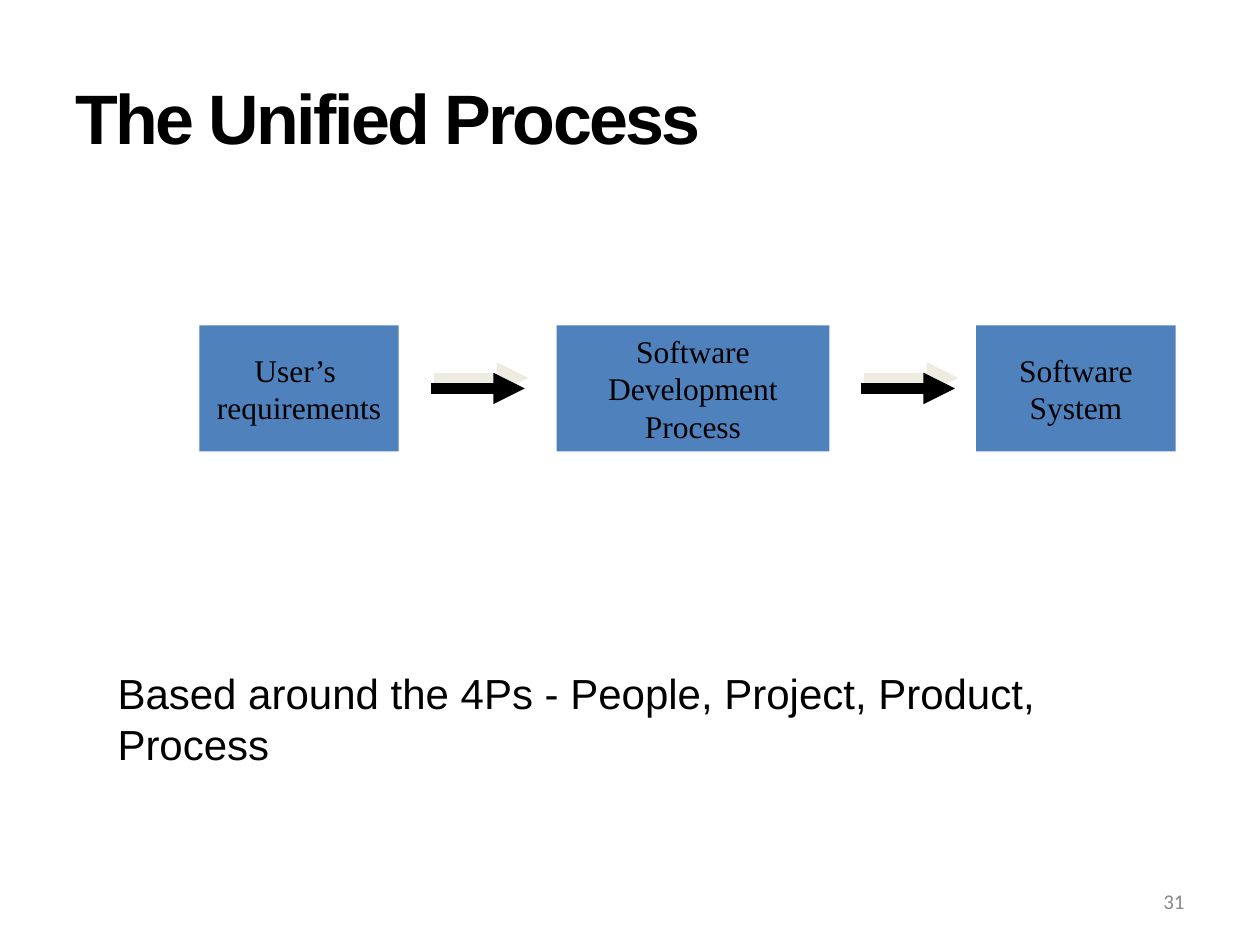
from lxml import etree
from pptx import Presentation
from pptx.dml.color import RGBColor
from pptx.enum.shapes import MSO_CONNECTOR, MSO_SHAPE
from pptx.enum.text import MSO_ANCHOR, MSO_AUTO_SIZE, PP_ALIGN
from pptx.oxml.ns import qn
from pptx.util import Cm, Pt

LEFT, CENTER, RIGHT = PP_ALIGN.LEFT, PP_ALIGN.CENTER, PP_ALIGN.RIGHT
TOP, MIDDLE = MSO_ANCHOR.TOP, MSO_ANCHOR.MIDDLE
NO_FIT = MSO_AUTO_SIZE.NONE
RECTANGLE, STRAIGHT = MSO_SHAPE.RECTANGLE, MSO_CONNECTOR.STRAIGHT

BLACK, BLUE, GREY, CREAM = "000000", "4F81BD", "898989", "EEECE1"


def color(value):
    return RGBColor.from_string(value)


def write(sp, lines, size, font, fill=BLACK, align=LEFT, anchor=TOP, wrap=True):
    tf = sp.text_frame
    tf.text = "\n".join(lines)
    tf.word_wrap = wrap
    tf.auto_size = NO_FIT
    tf.vertical_anchor = anchor
    for p in tf.paragraphs:
        p.alignment = align
        for r in p.runs:
            r.font.size = Pt(size)
            r.font.name = font
            r.font.color.rgb = color(fill)


def add_title(s, text, x, y, w, h):
    sp = s.shapes.title
    sp.left, sp.top, sp.width, sp.height = Cm(x), Cm(y), Cm(w), Cm(h)
    write(sp, [text], 40, "Arial", anchor=MIDDLE)
    r = sp.text_frame.paragraphs[0].runs[0]
    r.font.bold = True
    r.font._element.set("spc", "-150")


def add_text(s, text, x, y, w, h, **style):
    sp = s.shapes.add_textbox(Cm(x), Cm(y), Cm(w), Cm(h))
    write(sp, [text], **style)


def add_stage(s, lines, x, y, w, h):
    sp = s.shapes.add_shape(RECTANGLE, Cm(x), Cm(y), Cm(w), Cm(h))
    sp.shadow.inherit = False
    sp.fill.solid()
    sp.fill.fore_color.rgb = color(BLUE)
    sp.line.fill.background()
    write(sp, lines, 18, "Times New Roman", align=CENTER, anchor=MIDDLE, wrap=False)


def add_arrow(s, x, y, length):
    arrow = s.shapes.add_connector(STRAIGHT, Cm(x), Cm(y), Cm(x + length), Cm(y))
    arrow.line.color.rgb = color(BLACK)
    arrow.line.width = Pt(6)
    etree.SubElement(arrow.line._get_or_add_ln(), qn("a:tailEnd"), type="triangle")
    effects = etree.SubElement(arrow._element.spPr, qn("a:effectLst"))
    shadow = etree.SubElement(effects, qn("a:outerShdw"), blurRad="0",
                              dist=str(Pt(6.3)), dir=str(288 * 60000),
                              algn="ctr", rotWithShape="0")
    etree.SubElement(shadow, qn("a:srgbClr"), val=CREAM)


def add_flow(s, x, y, h):
    stages = [
        (["User’s ", "requirements"], 0, 4.02),
        (["Software", "Development", "Process"], 7.2, 5.5),
        (["Software", "System"], 15.66, 4.02),
    ]
    for lines, offset, width in stages:
        add_stage(s, lines, x + offset, y, width, h)
    for offset in (4.66, 13.33):
        add_arrow(s, x + offset, y + h / 2, 1.9)


def main():
    prs = Presentation()
    prs.slide_width, prs.slide_height = Cm(25.4), Cm(19.05)
    s = prs.slides.add_slide(prs.slide_layouts[5])
    add_title(s, "The Unified Process", 1.27, 0.76, 22.86, 3.18)
    add_flow(s, 4.02, 6.56, 2.54)
    add_text(s, "Based around the 4Ps - People, Project, Product, Process",
             2.12, 13.34, 21.82, 1.27, size=24, font="Arial")
    add_text(s, "31", 18.2, 17.66, 5.93, 1.01, size=12, font="Calibri",
             fill=GREY, align=RIGHT, anchor=MIDDLE)
    prs.save("out.pptx")


if __name__ == "__main__":
    main()
